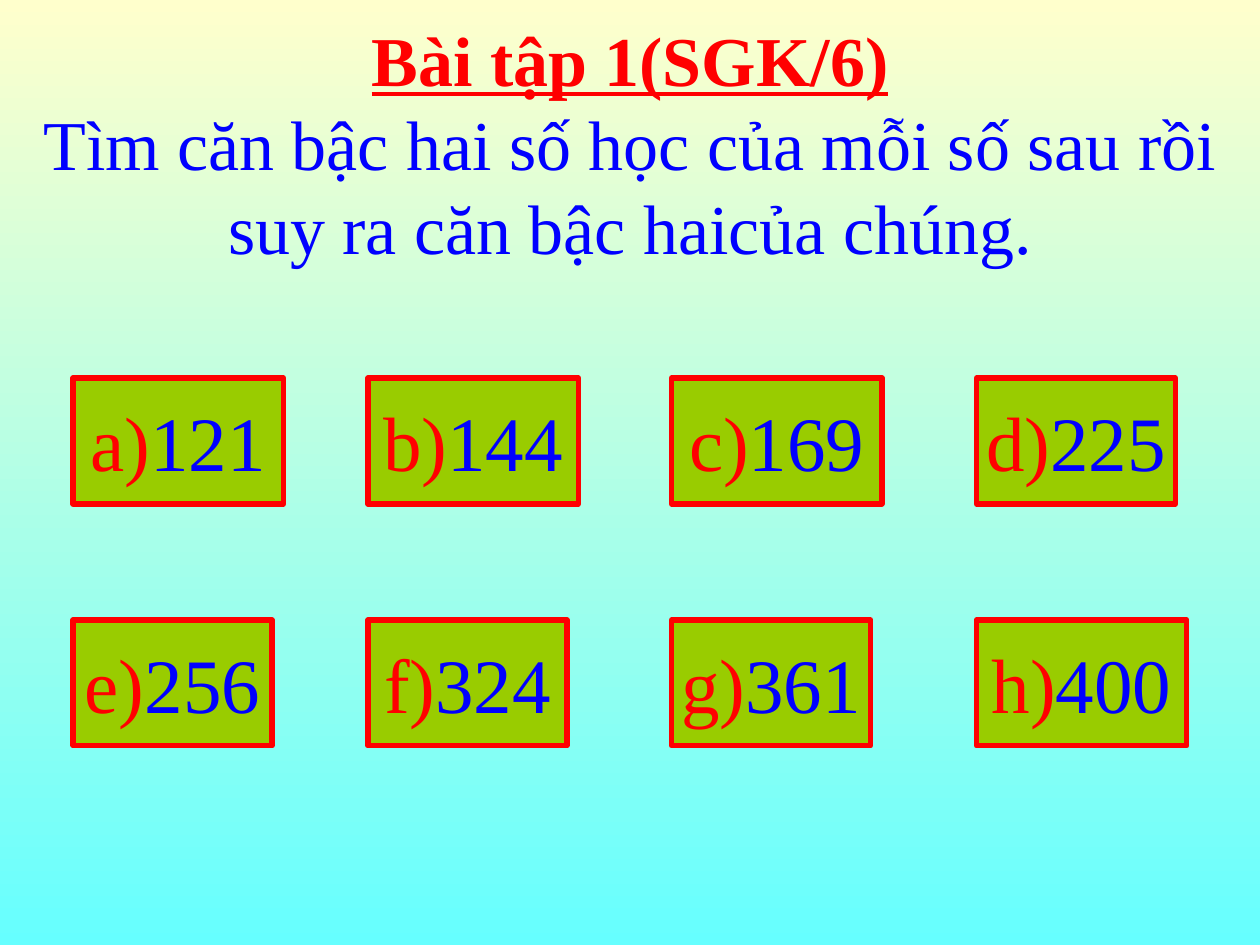
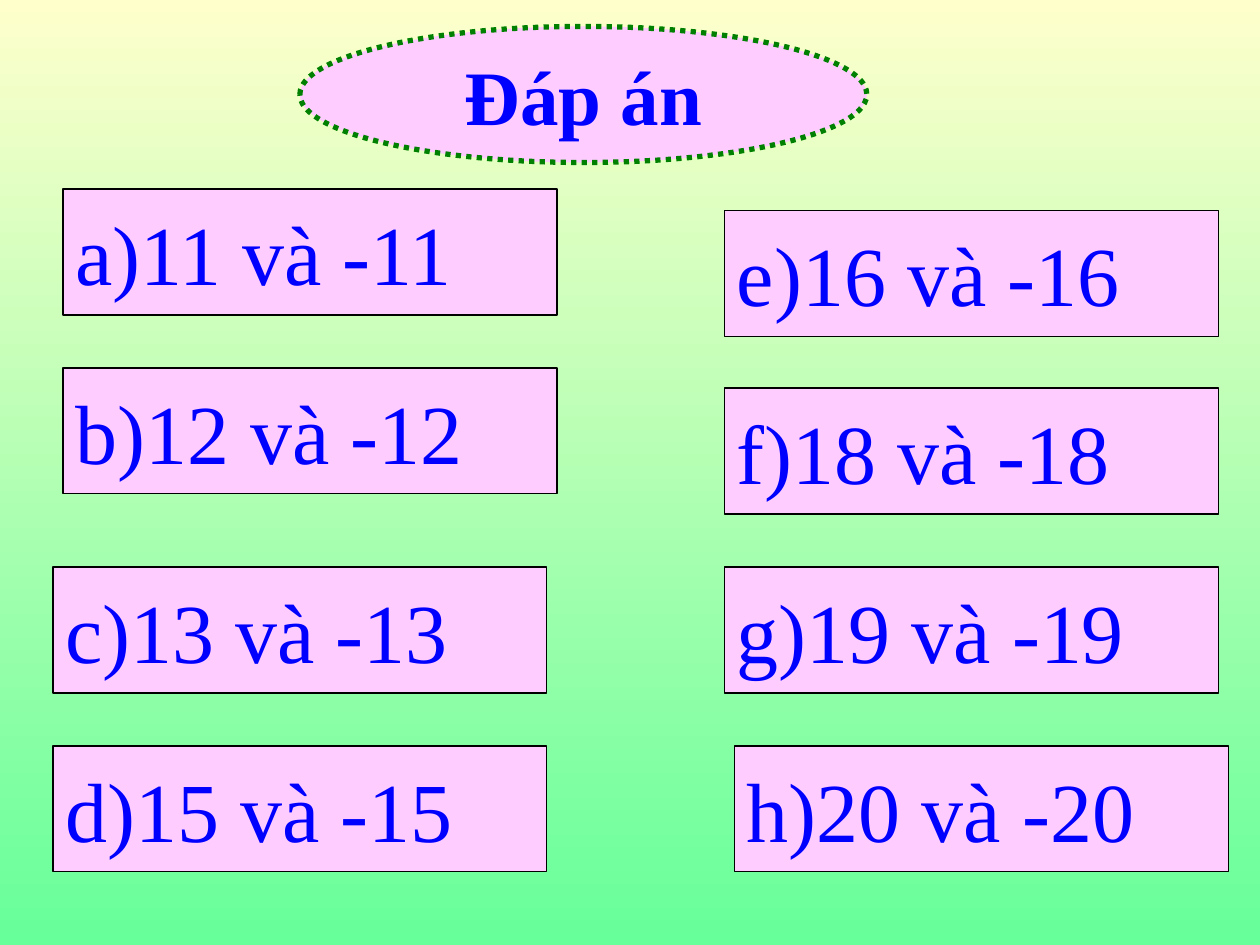
import pptx
import pptx.dml.color
import pptx.enum.dml
import pptx.enum.shapes
import pptx.enum.text
import pptx.util

Inches = pptx.util.Inches
Pt = pptx.util.Pt
SHAPES = pptx.enum.shapes.MSO_SHAPE
ALIGN = pptx.enum.text.PP_ALIGN
ANCHOR = pptx.enum.text.MSO_ANCHOR

RED = "FF0000"
BLUE = "0000FF"
LIME = "99CC00"
PINK = "FFCCFF"
GREEN = "008000"
BLACK = "000000"
CREAM = "FFFFCC"
AQUA = "66FFFF"
MINT = "66FF99"


def color(value):
    return pptx.dml.color.RGBColor.from_string(value)


class Deck:
    font_name = "Times New Roman"

    def __init__(self):
        self.presentation = pptx.Presentation()
        self.presentation.slide_width = Inches(10)
        self.presentation.slide_height = Inches(7.5)
        self.slide = None

    def add_slide(self, top_color, bottom_color):
        blank = self.presentation.slide_layouts[6]
        self.slide = self.presentation.slides.add_slide(blank)
        fill = self.slide.background.fill
        fill.gradient()
        fill.gradient_angle = 270
        for stop, value in zip(fill.gradient_stops, (top_color, bottom_color)):
            stop.color.rgb = color(value)

    def add_run(self, paragraph, text, size, value, bold=False, underline=False):
        run = paragraph.add_run()
        run.text = text
        run.font.name = self.font_name
        run.font.size = Pt(size)
        run.font.bold = bold
        run.font.underline = underline
        run.font.color.rgb = color(value)

    def heading(self, left, top, width, height, title, task, size=40):
        box = self.slide.shapes.add_textbox(
            Inches(left), Inches(top), Inches(width), Inches(height))
        frame = box.text_frame
        frame.word_wrap = True
        title_line = frame.paragraphs[0]
        task_line = frame.add_paragraph()
        title_line.alignment = task_line.alignment = ALIGN.CENTER
        self.add_run(title_line, title, size, RED, bold=True, underline=True)
        self.add_run(task_line, task, size, BLUE)

    def panel(self, left, top, width, height, runs, size, fill, line, weight,
              kind=SHAPES.RECTANGLE, align=ALIGN.CENTER, bold=False, dash=None):
        panel = self.slide.shapes.add_shape(
            kind, Inches(left), Inches(top), Inches(width), Inches(height))
        panel.shadow.inherit = False
        panel.fill.solid()
        panel.fill.fore_color.rgb = color(fill)
        panel.line.color.rgb = color(line)
        panel.line.width = Pt(weight)
        if dash is not None:
            panel.line.dash_style = dash
        frame = panel.text_frame
        frame.word_wrap = False
        frame.vertical_anchor = ANCHOR.MIDDLE
        paragraph = frame.paragraphs[0]
        paragraph.alignment = align
        for text, value in runs:
            self.add_run(paragraph, text, size, value, bold)


def build_exercise(deck):
    deck.add_slide(CREAM, AQUA)
    deck.heading(0, 0.08, 10, 2.59, "Bài tập 1(SGK/6)",
                 "Tìm căn bậc hai số học của mỗi số sau rồi suy ra căn bậc haicủa chúng.")
    column_lefts = (0.58, 2.92, 5.33, 7.75)
    rows = (
        (3, (("a)", 121, 1.67), ("b)", 144, 1.67), ("c)", 169, 1.67), ("d)", 225, 1.58))),
        (4.92, (("e)", 256, 1.58), ("f)", 324, 1.58), ("g)", 361, 1.58), ("h)", 400, 1.67))),
    )
    for top, numbers in rows:
        for left, (letter, number, width) in zip(column_lefts, numbers):
            deck.panel(left, top, width, 1, ((letter, RED), (str(number), BLUE)),
                       44, LIME, RED, 3)


def build_answers(deck):
    deck.add_slide(CREAM, MINT)
    deck.panel(2.38, 0.21, 4.5, 1.08, (("Đáp án", BLUE),), 44, PINK, GREEN, 3,
               kind=SHAPES.OVAL, bold=True,
               dash=pptx.enum.dml.MSO_LINE.ROUND_DOT)
    answers = (
        ("a", 11, 0.5, 1.5), ("b", 12, 0.5, 2.92),
        ("c", 13, 0.42, 4.5), ("d", 15, 0.42, 5.92),
        ("e", 16, 5.75, 1.67), ("f", 18, 5.75, 3.08),
        ("g", 19, 5.75, 4.5), ("h", 20, 5.83, 5.92),
    )
    for letter, root, left, top in answers:
        deck.panel(left, top, 3.92, 1, ((f"{letter}){root} và -{root}", BLUE),),
                   48, PINK, BLACK, 0.75, align=ALIGN.LEFT)


def main():
    deck = Deck()
    build_exercise(deck)
    build_answers(deck)
    deck.presentation.save("out.pptx")


if __name__ == "__main__":
    main()
